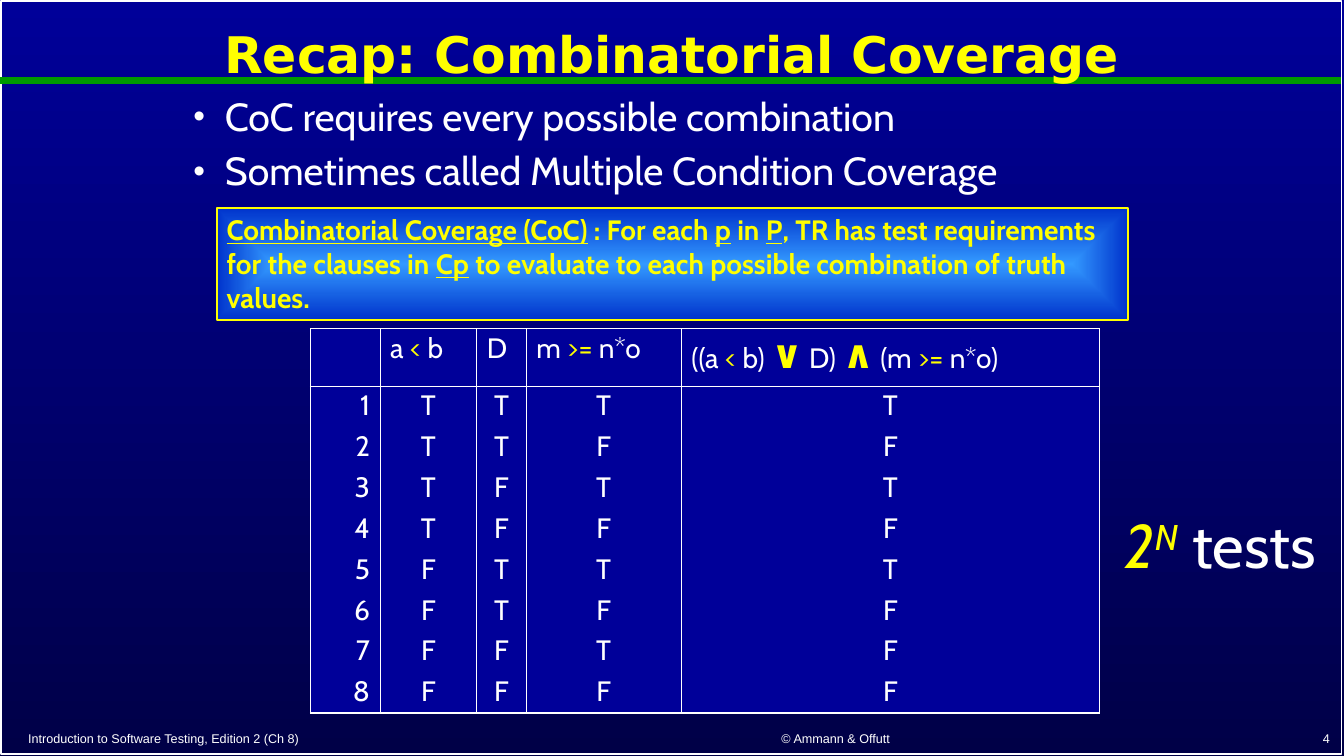
"""Build the Combinatorial Coverage recap slide."""
from itertools import product

from lxml.etree import SubElement
from pptx import Presentation
from pptx.dml.color import RGBColor
from pptx.enum.shapes import MSO_CONNECTOR as Connector, MSO_SHAPE as Shape
from pptx.enum.text import MSO_ANCHOR as Anchor, MSO_AUTO_SIZE as AutoSize, PP_ALIGN as Align
from pptx.oxml import parse_xml
from pptx.oxml.ns import nsdecls, qn
from pptx.util import Pt

COLORS = {
    "white": "FFFFFF", "yellow": "FFFF00", "green": "009900", "navy": "000099",
    "midnight": "000047", "sky": "3399FF", "cobalt": "0033CC",
}


def rgb(name):
    return RGBColor.from_string(COLORS[name])


def add_runs(paragraph, runs, size, name="Cabin"):
    for text, color, *styles in runs:
        run = paragraph.add_run()
        run.text = text
        run.font.name = name
        run.font.size = Pt(28 if "symbol" in styles else size)
        run.font.color.rgb = rgb(color)
        run.font.bold = "bold" in styles or "symbol" in styles
        run.font.italic = "italic" in styles
        run.font.underline = "underline" in styles
        if "superscript" in styles:
            run._r.get_or_add_rPr().set("baseline", "30000")


presentation = Presentation()
presentation.slide_width, presentation.slide_height = Pt(960), Pt(540)
slide = presentation.slides.add_slide(presentation.slide_layouts[1])
shapes = slide.shapes

background = slide.background.fill
background.gradient()
background.gradient_angle = 270
for stop, color in zip(background.gradient_stops, ("navy", "midnight")):
    stop.color.rgb = rgb(color)

frame = shapes.add_shape(Shape.RECTANGLE, Pt(0.72), Pt(0.72), Pt(957.6), Pt(537.8))
frame.shadow.inherit = False
frame.fill.background()
frame.line.color.rgb = rgb("white")
frame.line.width = Pt(1)

rule = shapes.add_connector(Connector.STRAIGHT, Pt(0), Pt(57.6), Pt(957.6), Pt(57.6))
rule.line.color.rgb = rgb("green")
rule.line.width = Pt(4.5)
SubElement(rule._element.spPr, qn("a:effectLst"))

title, body = slide.placeholders
for back_shape in (rule, frame):
    shapes._spTree.insert(2, back_shape._element)

title.left, title.top, title.width, title.height = Pt(120), Pt(3.6), Pt(720), Pt(75)
title.text_frame.vertical_anchor = Anchor.MIDDLE
title.text_frame.auto_size = AutoSize.NONE
title_paragraph = title.text_frame.paragraphs[0]
title_paragraph.alignment = Align.CENTER
title_paragraph.line_spacing = 0.9
add_runs(title_paragraph, [("Recap: Combinatorial Coverage", "yellow", "bold")], 36, "DejaVu Sans")

body.left, body.top, body.width, body.height = Pt(131), Pt(66.2), Pt(670.3), Pt(72)
body.text_frame.auto_size = AutoSize.NONE
bullets = ["CoC requires every possible combination", "Sometimes called Multiple Condition Coverage"]
for index, bullet in enumerate(bullets):
    paragraph = body.text_frame.add_paragraph() if index else body.text_frame.paragraphs[0]
    properties = paragraph._p.get_or_add_pPr()
    properties.set("marL", str(Pt(22.5)))
    properties.set("indent", str(Pt(-22.5)))
    SubElement(properties, qn("a:buSzPct"), val="85000")
    SubElement(properties, qn("a:buChar"), char="•")
    paragraph.line_spacing = 0.9
    paragraph.space_before = Pt(8.4 * index)
    add_runs(paragraph, [(bullet, "white")], 28)

column_widths = [49.7, 69.1, 35.3, 110.7, 298.8]
row_heights = [41] + [29.1] * 8
table_frame = shapes.add_table(
    len(row_heights), len(column_widths), Pt(221.8), Pt(234.9),
    Pt(sum(column_widths)), Pt(sum(row_heights)))
table = table_frame.table
table.first_row = table.horz_banding = False
for column, width in zip(table.columns, column_widths):
    column.width = Pt(width)
for row, height in zip(table.rows, row_heights):
    row.height = Pt(height)

less = [("a ", "white"), ("<", "yellow"), (" b", "white")]
at_least = [("m ", "white"), (">=", "yellow"), (" n*o", "white")]
predicate = [
    ("((", "white"), *less, (") ", "white"), ("∨", "yellow", "symbol"), (" D) ", "white"),
    ("∧", "yellow", "symbol"), (" (", "white"), *at_least, (")", "white"),
]
rows = [[[], less, [("D", "white")], at_least, predicate]]
for number, (a, d, m) in enumerate(product((True, False), repeat=3), start=1):
    truths = ["T" if value else "F" for value in (a, d, m, (a or d) and m)]
    rows.append([[(text, "white")] for text in (str(number), *truths)])

last_row = len(rows) - 1
for row_index, row in enumerate(rows):
    sides = {"lnL": True, "lnR": True, "lnT": row_index < 2, "lnB": row_index in (0, last_row)}
    for column_index, runs in enumerate(row):
        cell = table.cell(row_index, column_index)
        properties = cell._tc.get_or_add_tcPr()
        for side, visible in sides.items():
            paint = f'<a:solidFill><a:srgbClr val="{COLORS["white"]}"/></a:solidFill>' if visible else "<a:noFill/>"
            properties.append(parse_xml(f'<a:{side} {nsdecls("a")} w="{Pt(1)}">{paint}</a:{side}>'))
        cell.fill.solid()
        cell.fill.fore_color.rgb = rgb("navy")
        paragraph = cell.text_frame.paragraphs[0]
        paragraph.line_spacing = 0.9
        if row_index:
            paragraph.alignment = Align.CENTER if column_index else Align.RIGHT
        add_runs(paragraph, runs, 20)

footers = [
    ("Introduction to Software Testing, Edition 2 (Ch 8)", 13, 417.6, Align.LEFT),
    ("© Ammann & Offutt", 445, 303.8, Align.CENTER),
    ("4", 756.7, 200.2, Align.RIGHT),
]
for text, left, width, alignment in footers:
    footer = shapes.add_textbox(Pt(left), Pt(512), Pt(width), Pt(24.5))
    footer.text_frame.word_wrap = True
    footer.text_frame.vertical_anchor = Anchor.BOTTOM
    footer.text_frame.paragraphs[0].alignment = alignment
    add_runs(footer.text_frame.paragraphs[0], [(text, "white")], 9, "Arial")

definition = shapes.add_shape(Shape.RECTANGLE, Pt(154.8), Pt(148.5), Pt(651), Pt(80))
definition.shadow.inherit = False
definition.line.color.rgb = rgb("yellow")
definition.line.width = Pt(1.5)
definition.fill.gradient()
for stop, color in zip(definition.fill.gradient_stops, ("sky", "cobalt")):
    stop.color.rgb = rgb(color)
gradient = definition._element.spPr.find(qn("a:gradFill"))
gradient.remove(gradient.find(qn("a:lin")))
center = SubElement(gradient, qn("a:path"), {"path": "shape"})
SubElement(center, qn("a:fillToRect"), l="50000", t="50000", r="50000", b="50000")
definition.text_frame.word_wrap = True
definition.text_frame.vertical_anchor = Anchor.TOP
definition.text_frame.paragraphs[0].alignment = Align.LEFT
add_runs(definition.text_frame.paragraphs[0], [
    ("Combinatorial Coverage (CoC)", "yellow", "bold", "underline"),
    (" : For each ", "yellow", "bold"),
    ("p", "yellow", "bold", "underline"),
    (" in ", "yellow", "bold"),
    ("P", "yellow", "bold", "underline"),
    (", TR has test requirements for the clauses in ", "yellow", "bold"),
    ("Cp", "yellow", "bold", "underline"),
    (" to evaluate to each possible combination of truth values.", "yellow", "bold"),
], 20)

test_count = shapes.add_textbox(Pt(796.3), Pt(358.6), Pt(153.4), Pt(60.5))
test_count.text_frame.word_wrap = False
add_runs(test_count.text_frame.paragraphs[0], [
    ("2", "yellow", "italic"), ("N", "yellow", "italic", "superscript"), (" tests", "white"),
], 44)

presentation.save("out.pptx")
